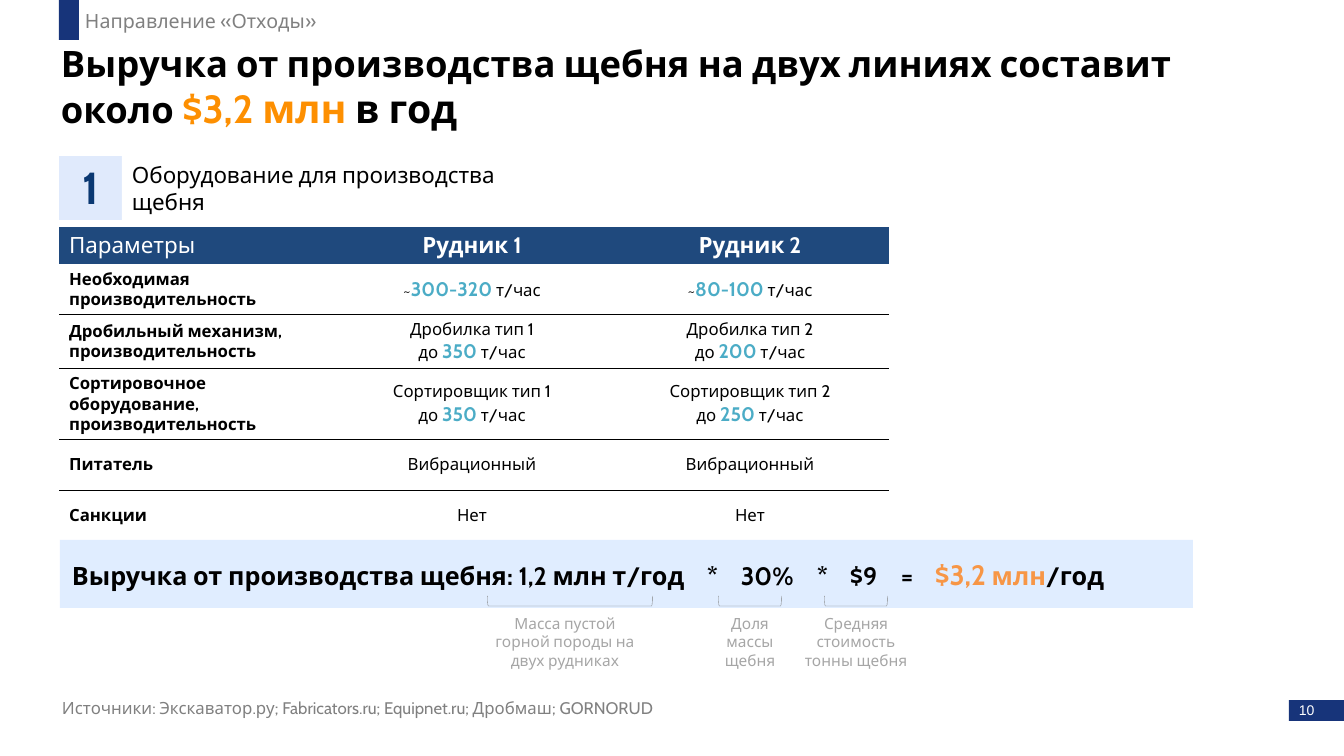
from lxml.etree import SubElement
from pptx import Presentation
from pptx.dml.color import RGBColor
from pptx.enum.shapes import MSO_SHAPE as Shape
from pptx.enum.text import MSO_ANCHOR as Anchor, PP_ALIGN as Align
from pptx.oxml.ns import qn
from pptx.util import Pt

EMU_PER_PX = 914400 / 100.8
NO_STYLE_NO_GRID = "{2D5ABB26-0587-4C30-8999-92F81FD0307C}"
BLACK, WHITE, GRAY, PALE_GRAY = "000000", "FFFFFF", "808080", "A6A6A6"
NAVY, TEAL, ORANGE, PEACH = "17347A", "4BACC6", "FD8F01", "F79646"
HEADER_BLUE, PALE_BLUE = "1F497D", "E0EDFF"


def rate(prefix, amount):
    """Runs of one line with a highlighted hourly capacity."""
    return [(prefix, {}), (amount, dict(size=14, color=TEAL, bold=True)), (" т/час", {})]


SECTION = "Направление «Отходы»"
TITLE = [[
    ("Выручка от производства щебня на двух линиях составит около ", {}),
    ("$3,2 млн", dict(size=28, color=ORANGE)),
    (" в год", dict(size=28)),
]]
SUBTITLE = "Оборудование для производства щебня"
SOURCES = "Источники: Экскаватор.ру; Fabricators.ru; Equipnet.ru; Дробмаш; GORNORUD"
HEADERS = ["Параметры", "Рудник 1", "Рудник 2"]
EQUIPMENT = [
    ("Необходимая производительность", [rate("~", "300-320")], [rate("~", "80-100")]),
    ("Дробильный механизм, производительность",
     ["Дробилка тип 1", rate("до ", "350")], ["Дробилка тип 2", rate("до ", "200")]),
    ("Сортировочное оборудование, производительность",
     ["Сортировщик тип 1", rate("до ", "350")], ["Сортировщик тип 2", rate("до ", "250")]),
    ("Питатель", "Вибрационный", "Вибрационный"),
    ("Санкции", "Нет", "Нет"),
]
COLUMN_WIDTHS = [274, 278, 278]
ROW_HEIGHTS = [37, 50, 54, 70, 51, 51]
FORMULA = [[
    ("Выручка от производства щебня: 1,2 млн т/год\t*\t30%\t*\t$9\t=\t", {}),
    ("$3,2", dict(size=20, color=PEACH)),
    (" млн", dict(color=PEACH)),
    ("/год", {}),
]]
FORMULA_TABS = [635, 669, 745, 778, 829, 863]
# label, label centre, label width, bracket centre, bracket width
FACTORS = [
    ("Масса пустой горной породы на двух рудниках", 565, 176, 570, 165),
    ("Доля массы щебня", 750, 80, 750, 63),
    ("Средняя стоимость тонны щебня", 856, 133, 856, 63),
]


def px(length):
    return round(length * EMU_PER_PX)


def rgb(color):
    return RGBColor.from_string(color)


def write(frame, content, size=12, color=BLACK, bold=False, font="Cabin",
          align=Align.LEFT, tabs=()):
    """Fill a text frame with a string or a list of paragraphs, each a string or runs."""
    frame.word_wrap = True
    paragraphs = [content] if isinstance(content, str) else content
    for index, runs in enumerate(paragraphs):
        paragraph = frame.add_paragraph() if index else frame.paragraphs[0]
        paragraph.alignment = align
        if tabs:
            stops = SubElement(paragraph._p.get_or_add_pPr(), qn("a:tabLst"))
            for stop in tabs:
                SubElement(stops, qn("a:tab"), pos=str(px(stop)), algn="l")
        for text, own in [(runs, {})] if isinstance(runs, str) else runs:
            look = dict(size=size, color=color, bold=bold) | own
            run = paragraph.add_run()
            run.text = text
            run.font.name = font
            run.font.size = Pt(look["size"])
            run.font.bold = look["bold"]
            run.font.color.rgb = rgb(look["color"])


def add_text(parent, box, content, margins=None, **look):
    frame = parent.add_textbox(*map(px, box)).text_frame
    if margins:
        (frame.margin_left, frame.margin_top,
         frame.margin_right, frame.margin_bottom) = map(px, margins)
    write(frame, content, **look)


def add_block(parent, box, fill):
    block = parent.add_shape(Shape.RECTANGLE, *map(px, box))
    block.shadow.inherit = False
    block.fill.solid()
    block.fill.fore_color.rgb = rgb(fill)
    block.line.fill.background()
    return block


def add_grid(parent, left, top, widths, heights):
    """Add a table without any style."""
    grid = parent.add_table(len(heights), len(widths), px(left), px(top),
                            px(sum(widths)), px(sum(heights))).table
    grid.first_row = grid.horz_banding = False
    grid._tbl.tblPr.find(qn("a:tableStyleId")).text = NO_STYLE_NO_GRID
    for column, width in zip(grid.columns, widths):
        column.width = px(width)
    for row, height in zip(grid.rows, heights):
        row.height = px(height)
    return grid


def fill_cell(cell, content, fill=None, rules=(), anchor=Anchor.MIDDLE, **look):
    """Write a cell; rules are the tags of its ruled edges."""
    cell.vertical_anchor = anchor
    write(cell.text_frame, content, **look)
    for tag in rules:
        edge = SubElement(cell._tc.get_or_add_tcPr(), qn(tag), w=str(Pt(0.25)))
        SubElement(SubElement(edge, qn("a:solidFill")), qn("a:srgbClr"), val=BLACK)
    if fill:
        cell.fill.solid()
        cell.fill.fore_color.rgb = rgb(fill)
    else:
        cell.fill.background()


def add_equipment(shapes):
    grid = add_grid(shapes, 59, 227, COLUMN_WIDTHS, ROW_HEIGHTS)
    for column, header in enumerate(HEADERS):
        fill_cell(grid.cell(0, column), header, HEADER_BLUE, size=16, color=WHITE,
                  bold=column > 0, align=Align.CENTER if column else Align.LEFT,
                  anchor=Anchor.MIDDLE if column else Anchor.TOP)
    for row, values in enumerate(EQUIPMENT, 1):
        rules = []
        if row > 1:
            rules.append("a:lnT")
        if row < len(EQUIPMENT):
            rules.append("a:lnB")
        for column, value in enumerate(values):
            fill_cell(grid.cell(row, column), value, rules=rules, bold=column == 0,
                      align=Align.CENTER if column else Align.LEFT)


def add_factor(shapes, label, label_center, label_width, center, width):
    group = shapes.add_group_shape().shapes
    depth, middle = 10, 601
    bracket = group.add_shape(Shape.LEFT_BRACKET, px(center - depth / 2),
                              px(middle - width / 2), px(depth), px(width))
    bracket.rotation = 270
    bracket.shadow.inherit = False
    bracket.fill.background()
    bracket.line.color.rgb = rgb(GRAY)
    bracket.line.width = Pt(0.25)
    add_text(group, (label_center - label_width / 2, 609, label_width, 67), label,
             size=11, color=PALE_GRAY, align=Align.CENTER)


def main():
    deck = Presentation()
    deck.slide_width, deck.slide_height = px(1344), px(756)
    shapes = deck.slides.add_slide(deck.slide_layouts[6]).shapes
    tight = (1, 1, 0, 0)

    add_block(shapes, (1289, 700, 55, 21), NAVY)
    add_block(shapes, (60, 540, 1133, 68), PALE_BLUE)
    add_text(shapes, (60, 40, 1216, 93), TITLE, tight, size=26, bold=True)
    add_text(shapes, (1291, 701, 25, 19), "10", (8, 0, 0, 0),
             size=10, color=WHITE, font="Arial")
    add_text(shapes, (84, 8, 1195, 25), SECTION, tight, size=14, color=GRAY)
    add_block(shapes, (59, 0, 20, 40), NAVY)
    add_text(shapes, (61, 697, 964, 22), SOURCES, tight, color=GRAY)

    badge = add_grid(shapes, 59, 156, [63], [64])
    fill_cell(badge.cell(0, 0), "1", "E0EAFC", size=32, color="0A3872", bold=True,
              align=Align.CENTER)
    subtitle = add_block(shapes, (122, 156, 448, 64), WHITE).text_frame
    subtitle.vertical_anchor = Anchor.MIDDLE
    write(subtitle, SUBTITLE, size=16)

    add_equipment(shapes)
    for factor in FACTORS:
        add_factor(shapes, *factor)
    add_text(shapes, (62, 553, 1082, 44), FORMULA, size=18, bold=True, tabs=FORMULA_TABS)
    deck.save("out.pptx")


if __name__ == "__main__":
    main()
